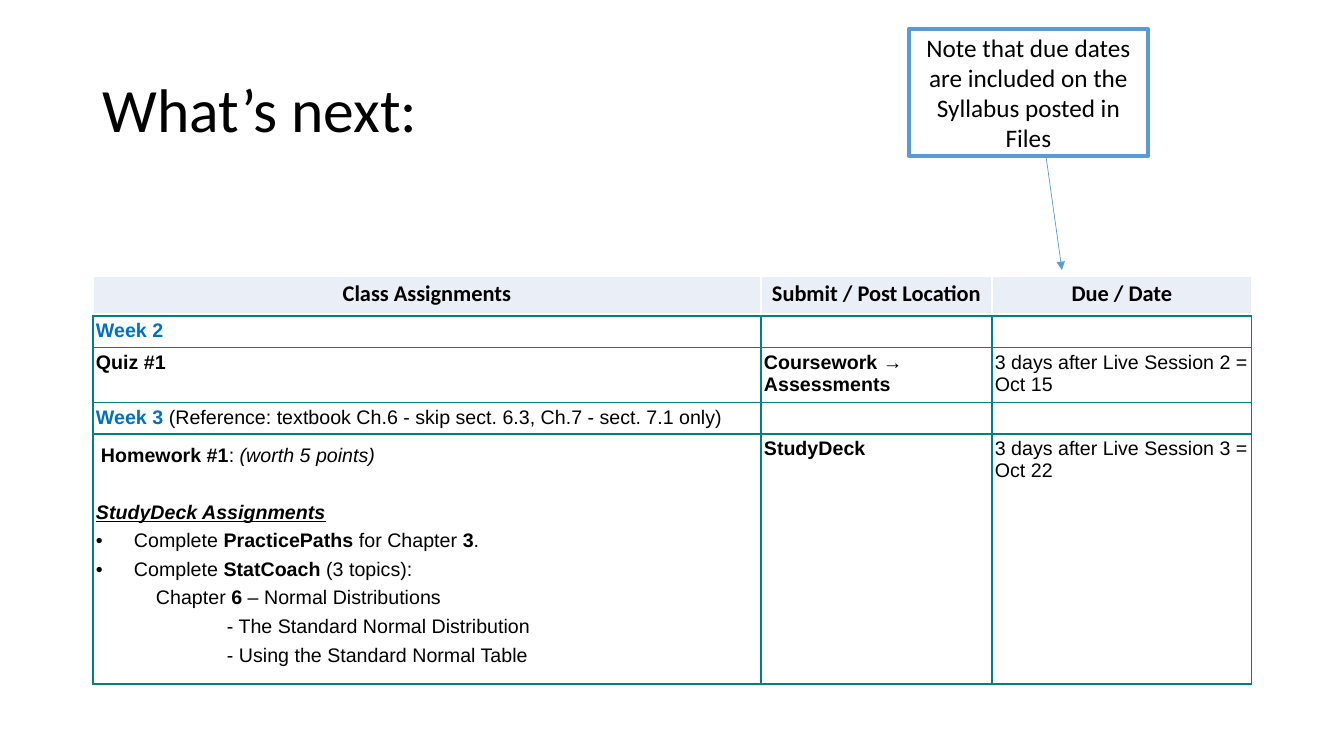
from lxml import etree
from pptx import Presentation
from pptx.dml.color import RGBColor
from pptx.enum.shapes import MSO_CONNECTOR, MSO_SHAPE
from pptx.enum.text import MSO_ANCHOR, PP_ALIGN
from pptx.oxml.ns import qn
from pptx.util import Pt

PIXEL = 914400 / 100.8
BLACK = RGBColor(0x00, 0x00, 0x00)
WHITE = RGBColor(0xFF, 0xFF, 0xFF)
BLUE = RGBColor(0x5B, 0x9B, 0xD5)
WEEK_BLUE = RGBColor(0x00, 0x70, 0xC0)
TEAL = RGBColor(0x00, 0x80, 0x80)
HEADER_FILL = RGBColor(0xEA, 0xEF, 0xF7)
BOLD = dict(bold=True)
WEEK = dict(bold=True, color=WEEK_BLUE)


def px(*values):
    return [round(value * PIXEL) for value in values]


def write(paragraph, text, size=14, font="Arial", color=BLACK, bold=False,
          italic=False, underline=False):
    run = paragraph.add_run()
    run.text = text
    run.font.size, run.font.name = Pt(size), font
    run.font.bold, run.font.italic, run.font.underline = bold, italic, underline
    run.font.color.rgb = color


presentation = Presentation()
presentation.slide_width, presentation.slide_height = px(1344, 756)
slide = presentation.slides.add_slide(presentation.slide_layouts[6])

# Title
title = slide.shapes.add_textbox(*px(93, 40, 1159, 146)).text_frame
title.word_wrap = True
title.vertical_anchor = MSO_ANCHOR.MIDDLE
title.paragraphs[0].line_spacing = 0.9
write(title.paragraphs[0], "What’s next:", size=44, font="Calibri")

# Arrow from the note to the due dates
arrow = slide.shapes.add_connector(MSO_CONNECTOR.STRAIGHT, *px(1046, 156, 1062, 270))
arrow.line.color.rgb = BLUE
arrow.line.width = Pt(0.5)
etree.SubElement(arrow.line._get_or_add_ln(), qn("a:tailEnd"), type="triangle")
etree.SubElement(arrow._element.spPr, qn("a:effectLst"))

# Note
note = slide.shapes.add_shape(MSO_SHAPE.RECTANGLE, *px(909, 29, 239, 127))
note.shadow.inherit = False
note.fill.solid()
note.fill.fore_color.rgb = WHITE
note.line.color.rgb = BLUE
note.line.width = Pt(3)
note.text_frame.word_wrap = True
note.text_frame.vertical_anchor = MSO_ANCHOR.MIDDLE
note_paragraph = note.text_frame.paragraphs[0]
note_paragraph.alignment = PP_ALIGN.CENTER
write(note_paragraph, "Note that due dates are included on the Syllabus posted in Files",
      size=18, font="Calibri")

# Tables: a header strip and the assignments below it
column_widths = px(668, 231, 260)
tables = []
for top, row_heights, border in [(276, [38], WHITE), (316, [29, 52, 29, 235], TEAL)]:
    frame = slide.shapes.add_table(len(row_heights), 3,
                                   *px(93, top, 1159, sum(row_heights)))
    table = frame.table
    table.first_row = table.horz_banding = False
    for column, width in zip(table.columns, column_widths):
        column.width = width
    for row, height in zip(table.rows, px(*row_heights)):
        row.height = height
    for cell in table.iter_cells():
        cell.margin_left, cell.margin_right, cell.margin_top, cell.margin_bottom = px(3, 3, 4, 4)
        properties = cell._tc.get_or_add_tcPr()
        for side in ("lnL", "lnR", "lnT", "lnB"):
            line = etree.SubElement(properties, qn("a:" + side), w=str(Pt(1)))
            fill = etree.SubElement(line, qn("a:solidFill"))
            etree.SubElement(fill, qn("a:srgbClr"), val=str(border))
        cell.fill.background()
    tables.append(table)
header, assignments = tables

# Header cells
for cell, label in zip(header.iter_cells(),
                       ["Class Assignments", "Submit / Post Location", "Due / Date"]):
    cell.fill.solid()
    cell.fill.fore_color.rgb = HEADER_FILL
    paragraph = cell.text_frame.paragraphs[0]
    paragraph.alignment = PP_ALIGN.CENTER
    write(paragraph, label, size=16, font="Calibri", bold=True)

# Short assignment cells: each holds a list of runs
short_cells = [
    [[("Week 2", WEEK)], [], []],
    [[("Quiz #1", BOLD)], [("Coursework → Assessments", BOLD)],
     [("3 days after Live Session 2 = Oct 15", {})]],
    [[("Week 3 ", WEEK),
      ("(Reference: textbook Ch.6 - skip sect. 6.3, Ch.7 - sect. 7.1 only)", {})], [], []],
    [[], [("StudyDeck", BOLD)], [("3 days after Live Session 3 = Oct 22", {})]],
]
for row, row_cells in enumerate(short_cells):
    for column, runs in enumerate(row_cells):
        paragraph = assignments.cell(row, column).text_frame.paragraphs[0]
        for text, style in runs:
            write(paragraph, text, **style)
        if not runs:
            etree.SubElement(paragraph._p, qn("a:endParaRPr"), sz="1400")

# Homework cell: left margin, bullet, space before, runs
homework = [
    (5, False, 0, [("Homework #1", BOLD), (": ", {}),
                   ("(worth 5 points)", dict(italic=True))]),
    (0, False, 20, [("StudyDeck Assignments", dict(bold=True, italic=True, underline=True))]),
    (38, True, 0, [("Complete ", {}), ("PracticePaths", BOLD), (" for Chapter ", {}),
                   ("3", BOLD), (".", {})]),
    (38, True, 0, [("Complete ", {}), ("StatCoach ", BOLD), ("(3 topics):", {})]),
    (60, False, 0, [("Chapter ", {}), ("6", BOLD), (" – Normal Distributions", {})]),
    (131, False, 0, [("- The Standard Normal Distribution", {})]),
    (131, False, 0, [("- Using the Standard Normal Table", {})]),
]
homework_frame = assignments.cell(3, 0).text_frame
for index, (margin, bullet, space, runs) in enumerate(homework):
    paragraph = homework_frame.add_paragraph() if index else homework_frame.paragraphs[0]
    paragraph.line_spacing = 1.3
    paragraph.space_before = Pt(space)
    properties = paragraph._p.get_or_add_pPr()
    indent = px(margin)[0]
    properties.set("marL", str(indent))
    properties.set("indent", str(-indent if bullet else 0))
    if bullet:
        etree.SubElement(properties, qn("a:buFont"), typeface="Arial")
        etree.SubElement(properties, qn("a:buChar"), char="•")
    for text, style in runs:
        write(paragraph, text, **style)
for leftover in homework_frame.paragraphs[0]._p.findall(qn("a:endParaRPr")):
    homework_frame.paragraphs[0]._p.remove(leftover)

presentation.save("out.pptx")
